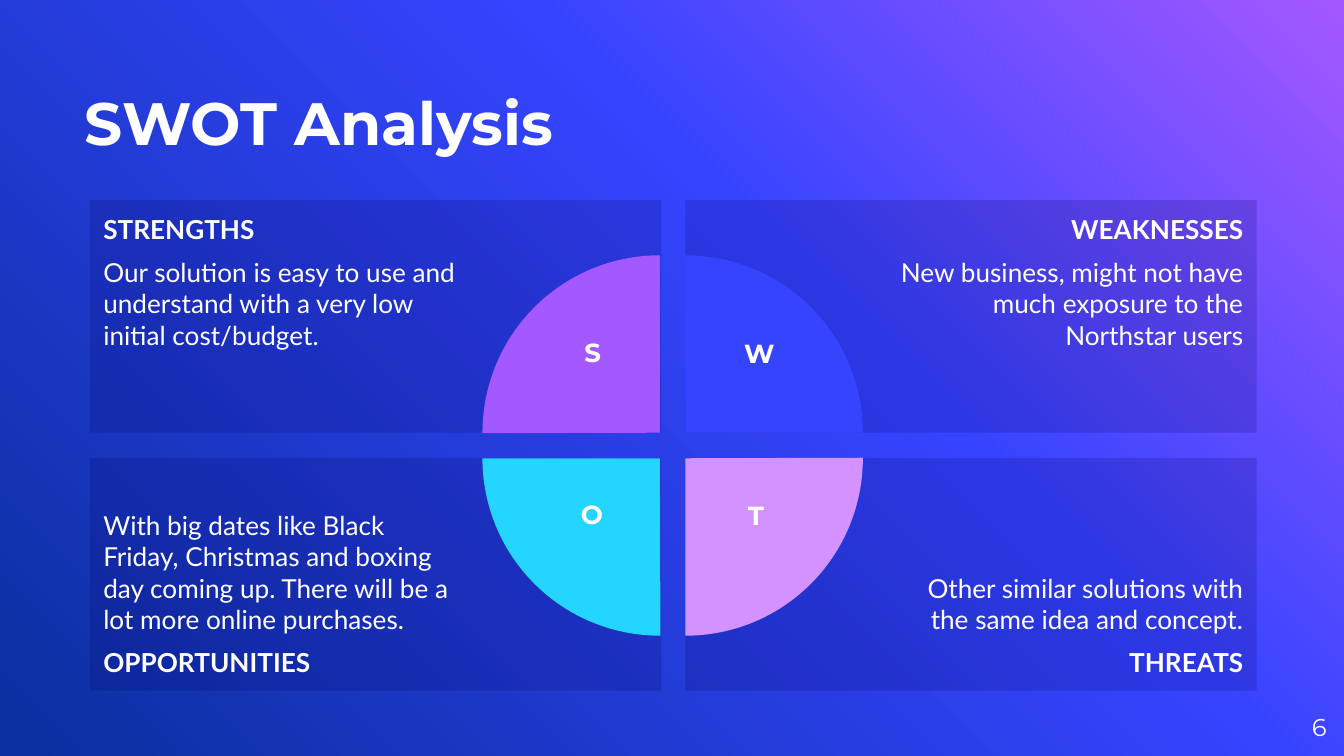
import copy
from dataclasses import dataclass

import pptx
import pptx.dml.color
import pptx.enum.shapes
import pptx.enum.text
import pptx.oxml
import pptx.oxml.ns
import pptx.util

Inches = pptx.util.Inches
Align = pptx.enum.text.PP_ALIGN
Anchor = pptx.enum.text.MSO_ANCHOR
Preset = pptx.enum.shapes.MSO_SHAPE


@dataclass(frozen=True)
class Theme:
    heading_font: str = "Montserrat"
    body_font: str = "Lato"
    text: str = "FFFFFF"
    panel: str = "050060"
    panel_opacity: int = 18
    gradient: tuple = ((0, "A458FF"), (0.39, "3544FF"), (1, "0A2F9E"))
    title_size: int = 32
    number_size: int = 13
    body_size: int = 14
    paragraph_gap: int = 6


@dataclass(frozen=True)
class Quadrant:
    letter: str
    heading: str
    body: str
    column: int
    row: int
    turn: int
    color: str
    letter_box: tuple


THEME = Theme()
PANEL_LEFTS = (0.67, 5.1)
PANEL_TOPS = (1.49, 3.41)
PANEL_SIZE = (4.25, 1.73)
PIE_LEFTS = (3.59, 3.78)
PIE_TOPS = (1.9, 2.09)
PIE_SIZE = 2.64
EDGE_INSET = 0.1
PIE_INSET = 1.5

QUADRANTS = (
    Quadrant("S", "STRENGTHS",
             "Our solution is easy to use and understand with a very low initial cost/budget.",
             0, 0, 0, "A458FF", (4.22, 2.45, 0.38, 0.51)),
    Quadrant("W", "WEAKNESSES",
             "New business, might not have much exposure to the Northstar users",
             1, 0, 90, "3544FF", (5.31, 2.46, 0.68, 0.5)),
    Quadrant("O", "OPPORTUNITIES",
             "With big dates like Black Friday, Christmas and boxing day coming up. "
             "There will be a lot more online purchases.",
             0, 1, 270, "24D6FF", (4.16, 3.66, 0.49, 0.51)),
    Quadrant("T", "THREATS",
             "Other similar solutions with the same idea and concept.",
             1, 1, 180, "D392FF", (5.44, 3.67, 0.37, 0.5)),
)


def rgb(color: str) -> pptx.dml.color.RGBColor:
    return pptx.dml.color.RGBColor.from_string(color)


def paint_background(slide) -> None:
    fill = slide.background.fill
    fill.gradient()
    fill.gradient_angle = 225
    stop_list = slide.element.find(".//" + pptx.oxml.ns.qn("a:gsLst"))
    stop_list.append(copy.deepcopy(stop_list[-1]))
    for stop, (position, color) in zip(fill.gradient_stops, THEME.gradient):
        stop.position = position
        stop.color.rgb = rgb(color)


def add_run(paragraph, text: str, font: str, size: int, bold: bool) -> None:
    run = paragraph.add_run()
    run.text = text
    run.font.name = font
    run.font.size = pptx.util.Pt(size)
    run.font.bold = bold
    run.font.color.rgb = rgb(THEME.text)


def set_insets(frame, left: float, top: float, right: float, bottom: float) -> None:
    frame.margin_left, frame.margin_top = Inches(left), Inches(top)
    frame.margin_right, frame.margin_bottom = Inches(right), Inches(bottom)


def add_label(slide, box: tuple, text: str, size: int, bold: bool, align: Align,
              anchor: Anchor = Anchor.TOP, flush: bool = False) -> None:
    frame = slide.shapes.add_textbox(*map(Inches, box)).text_frame
    frame.word_wrap = True
    frame.vertical_anchor = anchor
    if flush:
        set_insets(frame, 0, 0, 0, 0)
    paragraph = frame.paragraphs[0]
    paragraph.alignment = align
    add_run(paragraph, text, THEME.heading_font, size, bold)


def add_filled(slide, preset: Preset, box: tuple, color: str):
    shape = slide.shapes.add_shape(preset, *map(Inches, box))
    shape.shadow.inherit = False
    shape.fill.solid()
    shape.fill.fore_color.rgb = rgb(color)
    shape.line.fill.background()
    return shape


def add_panel(slide, quadrant: Quadrant) -> None:
    box = (PANEL_LEFTS[quadrant.column], PANEL_TOPS[quadrant.row], *PANEL_SIZE)
    panel = add_filled(slide, Preset.RECTANGLE, box, THEME.panel)
    color = panel.element.find(".//" + pptx.oxml.ns.qn("a:srgbClr"))
    alpha = pptx.oxml.parse_xml(
        f'<a:alpha {pptx.oxml.ns.nsdecls("a")} val="{THEME.panel_opacity * 1000}"/>')
    color.append(alpha)

    on_right, on_bottom = quadrant.column == 1, quadrant.row == 1
    frame = panel.text_frame
    frame.word_wrap = True
    frame.vertical_anchor = Anchor.BOTTOM if on_bottom else Anchor.TOP
    left, right = (PIE_INSET, EDGE_INSET) if on_right else (EDGE_INSET, PIE_INSET)
    set_insets(frame, left, EDGE_INSET, right, EDGE_INSET)

    lines = [(quadrant.heading, True), (quadrant.body, False)]
    if on_bottom:
        lines.reverse()
    for index, (text, bold) in enumerate(lines):
        paragraph = frame.add_paragraph() if index else frame.paragraphs[0]
        paragraph.alignment = Align.RIGHT if on_right else Align.LEFT
        if index:
            paragraph.space_before = pptx.util.Pt(THEME.paragraph_gap)
            paragraph.space_after = pptx.util.Pt(THEME.paragraph_gap)
        add_run(paragraph, text, THEME.body_font, THEME.body_size, bold)


def add_pie(slide, quadrant: Quadrant) -> None:
    box = (PIE_LEFTS[quadrant.column], PIE_TOPS[quadrant.row], PIE_SIZE, PIE_SIZE)
    pie = add_filled(slide, Preset.PIE, box, quadrant.color)
    pie.adjustments[0] = 107.89
    pie.adjustments[1] = 162
    pie.rotation = quadrant.turn


def main() -> None:
    deck = pptx.Presentation()
    deck.slide_width = Inches(10)
    deck.slide_height = Inches(10 * 9 / 16)
    slide = deck.slides.add_slide(deck.slide_layouts[6])
    paint_background(slide)
    add_label(slide, (0.63, 0.23, 6.58, 0.94), "SWOT Analysis", THEME.title_size,
              True, Align.LEFT, Anchor.BOTTOM, flush=True)
    add_label(slide, (9.27, 5.19, 0.6, 0.43), "6", THEME.number_size,
              False, Align.RIGHT, Anchor.MIDDLE, flush=True)
    for quadrant in QUADRANTS:
        add_panel(slide, quadrant)
    for quadrant in QUADRANTS:
        add_pie(slide, quadrant)
    for quadrant in QUADRANTS:
        add_label(slide, quadrant.letter_box, quadrant.letter, THEME.body_size,
                  True, Align.CENTER)
    deck.save("out.pptx")


if __name__ == "__main__":
    main()
